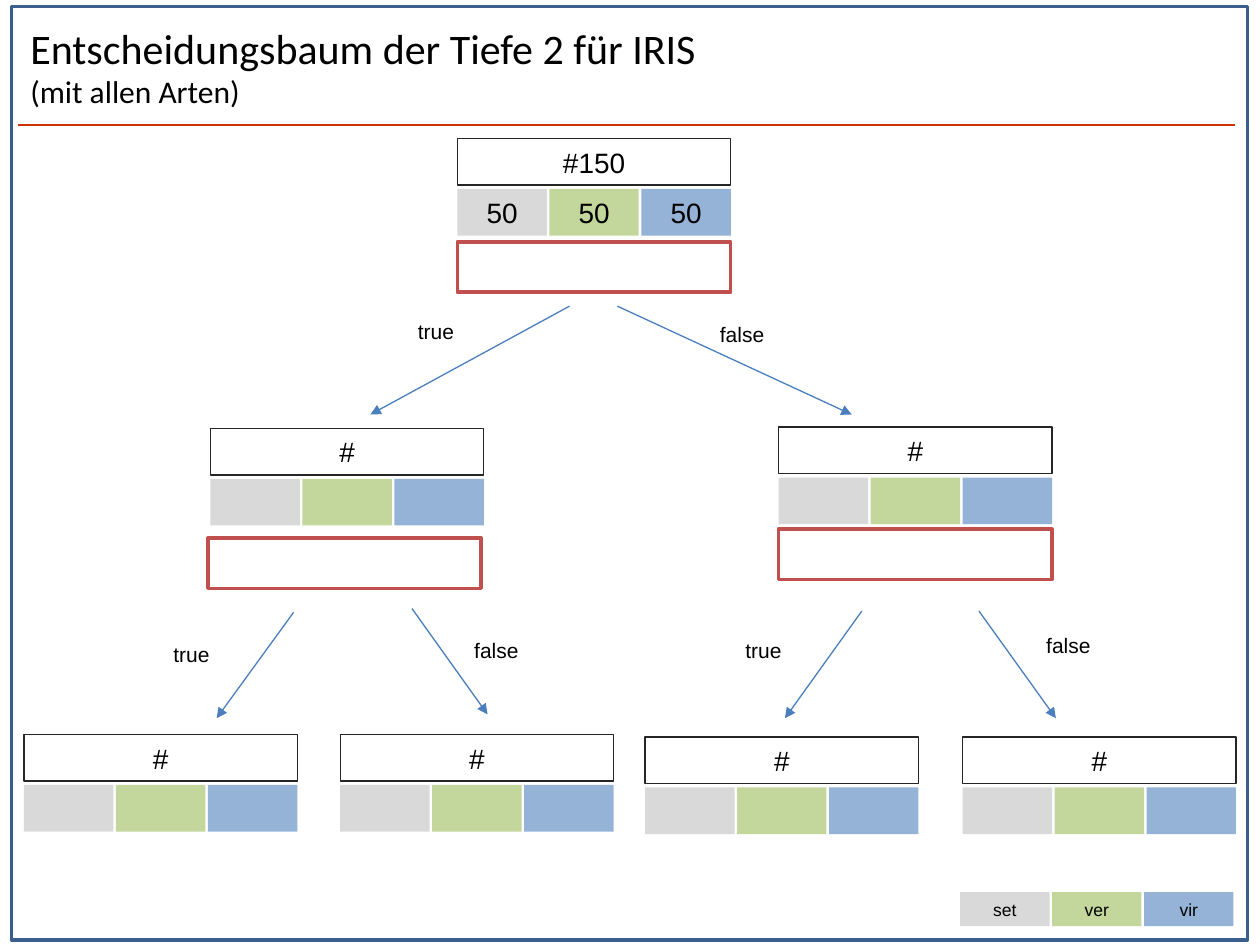
from lxml import etree
from pptx import Presentation
from pptx import util as u
from pptx.dml.color import RGBColor
from pptx.enum import shapes, text
from pptx.oxml.ns import qn

BLACK = RGBColor(0x00, 0x00, 0x00)
WHITE = RGBColor(0xFF, 0xFF, 0xFF)
DARK = RGBColor(0x26, 0x26, 0x26)
GREY = RGBColor(0xD9, 0xD9, 0xD9)
GREEN = RGBColor(0xC3, 0xD6, 0x9B)
BLUE = RGBColor(0x95, 0xB3, 0xD7)
RED = RGBColor(0xC0, 0x50, 0x4D)
ARROW_BLUE = RGBColor(0x4B, 0x7E, 0xBC)
FRAME_BLUE = RGBColor(0x3A, 0x5F, 0x8C)
RULE_RED = RGBColor(0xCC, 0x33, 0x00)

CLASS_COLOURS = (GREY, GREEN, BLUE)
NODE_W, ROW_H, TEST_H = 2.17, 0.37, 0.4
CELL_W, CELL_STEP = 0.71, 0.73
COUNTS_OFFSET = 0.4


class TreeSlide:
    """Decision tree elements in one common style."""

    def __init__(self, slide, font="Arial", heading_font="Calibri"):
        self.slide = slide
        self.font = font
        self.heading_font = heading_font

    def format_run(self, run, size, font=None):
        run.font.name = font or self.font
        run.font.size = u.Pt(size)
        run.font.color.rgb = BLACK

    def title(self, heading, subheading):
        title = self.slide.shapes.title
        title.left, title.top = u.Inches(0.14), u.Inches(0.06)
        title.width, title.height = u.Inches(9.66), u.Inches(0.93)
        frame = title.text_frame
        frame.text = f"{heading}\v{subheading}"
        frame.auto_size = text.MSO_AUTO_SIZE.NONE
        frame.vertical_anchor = text.MSO_ANCHOR.MIDDLE
        paragraph = frame.paragraphs[0]
        paragraph.alignment = text.PP_ALIGN.LEFT
        for run, size in zip(paragraph.runs, (24, 18)):
            self.format_run(run, size, self.heading_font)

    def label(self, frame, wording, size):
        frame.text = wording
        frame.paragraphs[0].alignment = text.PP_ALIGN.CENTER
        self.format_run(frame.paragraphs[0].runs[0], size)

    def box(self, x, y, w, h, fill=None, line=None, weight=0.75,
            label="", size=16, side_inset=0.1):
        box = self.slide.shapes.add_shape(
            shapes.MSO_SHAPE.RECTANGLE,
            u.Inches(x), u.Inches(y), u.Inches(w), u.Inches(h))
        box.shadow.inherit = False
        if fill is None:
            box.fill.background()
        else:
            box.fill.solid()
            box.fill.fore_color.rgb = fill
        if line is None:
            box.line.fill.background()
        else:
            box.line.color.rgb = line
            box.line.width = u.Pt(weight)
        if label:
            frame = box.text_frame
            frame.margin_left = frame.margin_right = u.Inches(side_inset)
            frame.vertical_anchor = text.MSO_ANCHOR.MIDDLE
            self.label(frame, label, size)

    def class_row(self, x, y, h=ROW_H, labels=("", "", ""), size=16):
        for i, (fill, label) in enumerate(zip(CLASS_COLOURS, labels)):
            self.box(x + i * CELL_STEP, y, CELL_W, h, fill=fill,
                     label=label, size=size, side_inset=0)

    def node(self, x, y, total="#", counts=("", "", "")):
        self.box(x, y, NODE_W, ROW_H, line=DARK, label=total)
        self.class_row(x, y + COUNTS_OFFSET, labels=counts)

    def test(self, x, y):
        self.box(x, y, NODE_W, TEST_H, fill=WHITE, line=RED, weight=2)

    def line(self, start, end, colour, weight, arrow=False):
        line = self.slide.shapes.add_connector(
            shapes.MSO_CONNECTOR.STRAIGHT,
            *(u.Inches(value) for value in (*start, *end)))
        line.line.color.rgb = colour
        line.line.width = u.Pt(weight)
        if arrow:
            etree.SubElement(line.line._get_or_add_ln(), qn("a:tailEnd"),
                             type="triangle")
        etree.SubElement(line._element.spPr, qn("a:effectLst"))

    def branch(self, start, end, outcome, outcome_at):
        self.line(start, end, ARROW_BLUE, 0.75, arrow=True)
        x, y = outcome_at
        caption = self.slide.shapes.add_textbox(
            u.Inches(x), u.Inches(y), u.Inches(0.9), u.Inches(0.3))
        caption.text_frame.word_wrap = True
        self.label(caption.text_frame, outcome, 12)


def main():
    deck = Presentation()
    deck.slide_width, deck.slide_height = u.Inches(10), u.Inches(7.5)
    tree = TreeSlide(deck.slides.add_slide(deck.slide_layouts[5]))

    # Frame, title and rule
    tree.box(0.09, 0.05, 9.81, 7.41, line=FRAME_BLUE, weight=2)
    tree.title("Entscheidungsbaum der Tiefe 2 für IRIS ", "(mit allen Arten)")
    tree.line((0.14, 0.99), (9.8, 0.99), RULE_RED, 1)

    # Root
    tree.node(3.63, 1.1, "#150", ("50", "50", "50"))
    tree.test(3.63, 1.92)

    # Inner nodes
    for node_x, node_y, test_x, test_y in ((1.67, 3.4, 1.65, 4.27),
                                           (6.18, 3.39, 6.18, 4.2)):
        tree.node(node_x, node_y)
        tree.test(test_x, test_y)

    # Leaves
    for x, y in ((0.19, 5.83), (2.7, 5.83), (5.12, 5.85), (7.64, 5.85)):
        tree.node(x, y)

    # Branches: start, end, outcome, outcome position
    for branch in (
        ((4.52, 2.43), (2.94, 3.29), "true", (3.01, 2.48)),
        ((4.9, 2.43), (6.76, 3.29), "false", (5.44, 2.5)),
        ((2.33, 4.86), (1.72, 5.7), "true", (1.07, 5.04)),
        ((3.27, 4.83), (3.87, 5.67), "false", (3.49, 5.01)),
        ((6.84, 4.85), (6.23, 5.7), "true", (5.61, 5.01)),
        ((7.77, 4.85), (8.38, 5.7), "false", (8.03, 4.97)),
    ):
        tree.branch(*branch)

    # Legend
    tree.class_row(7.62, 7.08, h=0.27, labels=("set", "ver", "vir"), size=10)

    deck.save("out.pptx")


if __name__ == "__main__":
    main()
